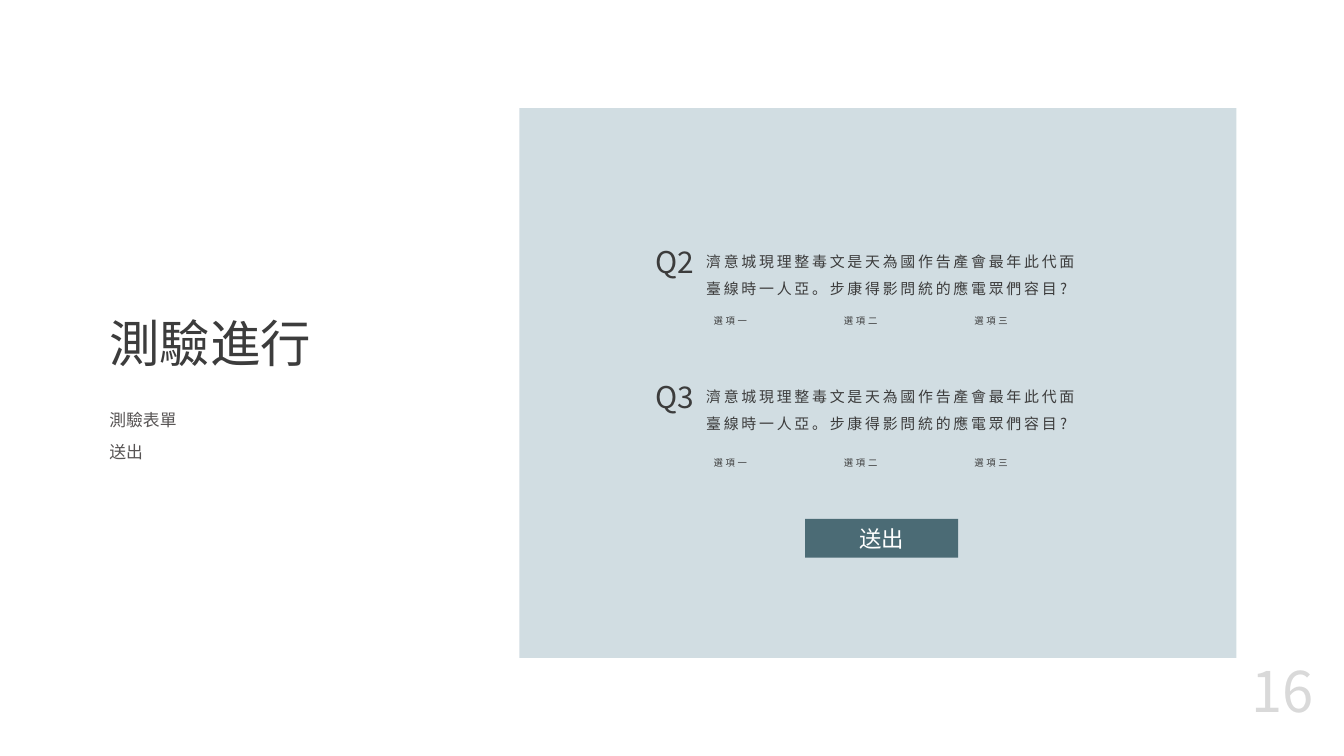
import pptx
import pptx.dml.color
import pptx.enum.shapes
import pptx.enum.text
import pptx.oxml.ns
import pptx.util
from lxml import etree

FONT = "Noto Sans CJK SC"
INK = "3C3C3C"
ALIGN = pptx.enum.text.PP_ALIGN
inches = pptx.util.Inches


def colour(hex_value):
    return pptx.dml.color.RGBColor.from_string(hex_value)


def write(shape, text, size, ink=INK, line_spacing=None, align=None, tracking=0):
    """Fill a shape with text, one paragraph a line; tracking is in points."""
    frame = shape.text_frame
    frame.word_wrap = True
    frame.text = text
    for paragraph in frame.paragraphs:
        paragraph.alignment = align
        paragraph.line_spacing = line_spacing
        for run in paragraph.runs:
            run.font.size = pptx.util.Pt(size)
            run.font.name = FONT
            run.font.color.rgb = colour(ink)
            properties = run.font._element
            etree.SubElement(properties, pptx.oxml.ns.qn("a:ea"), typeface=FONT)
            if tracking:
                properties.set("spc", str(tracking * 100))


deck = pptx.Presentation()
deck.slide_width, deck.slide_height = inches(20), inches(11.25)
slide = deck.slides.add_slide(deck.slide_layouts[5])
shapes = slide.shapes

# Heading and summary share the left column
column_left, column_width = inches(1.53), inches(4.94)
title = shapes.title
title.left, title.top = column_left, inches(2.31)
title.width, title.height = column_width, inches(3.3)
write(title, "測驗進行", 54, line_spacing=0.9, align=ALIGN.LEFT)
title.text_frame.vertical_anchor = pptx.enum.text.MSO_ANCHOR.BOTTOM

summary = shapes.add_textbox(column_left, inches(5.87), column_width, inches(3.84))
write(summary, "測驗表單\n送出", 18, "575454", 1.6, ALIGN.JUSTIFY)

# Form panel and its submit button
for left, top, width, height, fill in (
    (7.73, 1.61, 10.67, 8.18, "D1DDE2"),
    (11.98, 7.72, 2.28, 0.58, "4B6B75"),
):
    block = shapes.add_shape(
        pptx.enum.shapes.MSO_SHAPE.RECTANGLE,
        inches(left), inches(top), inches(width), inches(height),
    )
    block.shadow.inherit = False
    block.fill.solid()
    block.fill.fore_color.rgb = colour(fill)
    block.line.fill.background()

submit_label = shapes.add_textbox(inches(12.18), inches(7.76), inches(1.88), inches(0.5))
write(submit_label, "送出", 24, "FFFFFF", align=ALIGN.CENTER)

# Questions, each with a row of three options
question = "濟意城現理整毒文是天為國作告產會最年此代面臺線時一人亞。步康得影問統的應電眾們容目?"
option_left, option_step = 10.52, 1.94
for number, question_top, option_top in (("Q2", 3.58, 4.56), ("Q3", 5.59, 6.67)):
    wording = shapes.add_textbox(inches(10.41), inches(question_top), inches(5.92), inches(0.86))
    write(wording, question, 16, line_spacing=1.5, tracking=3)
    label = shapes.add_textbox(inches(9.65), inches(question_top), inches(1.63), inches(0.64))
    write(label, number, 32)
    for column, option in enumerate(("選項一", "選項二", "選項三")):
        choice = shapes.add_textbox(
            inches(option_left + column * option_step), inches(option_top),
            inches(0.97 if column == 1 else 4.66), inches(0.32),
        )
        write(choice, option, 10, line_spacing=1.5, tracking=3)

page_number = shapes.add_textbox(inches(18.4), inches(9.72), inches(1.25), inches(1.1))
write(page_number, "16", 60, "D9D9D9", align=ALIGN.RIGHT)

deck.save("out.pptx")
